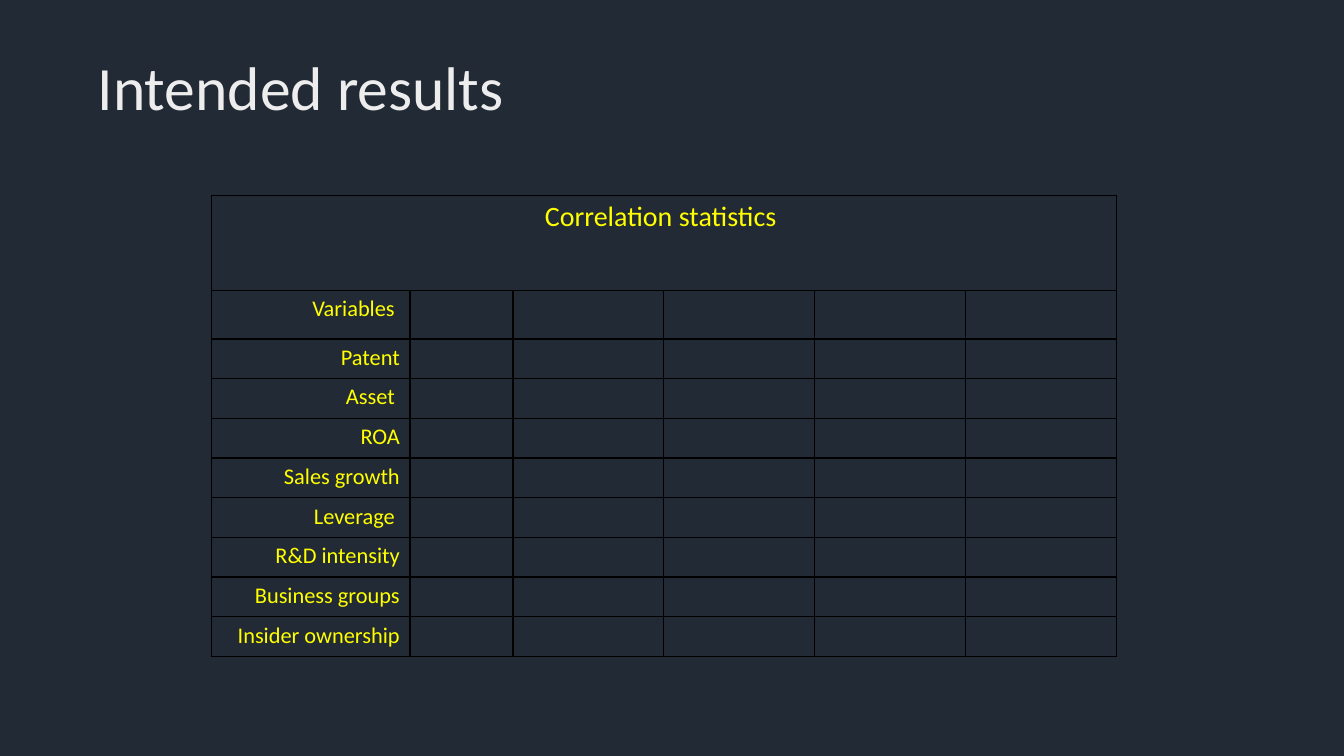
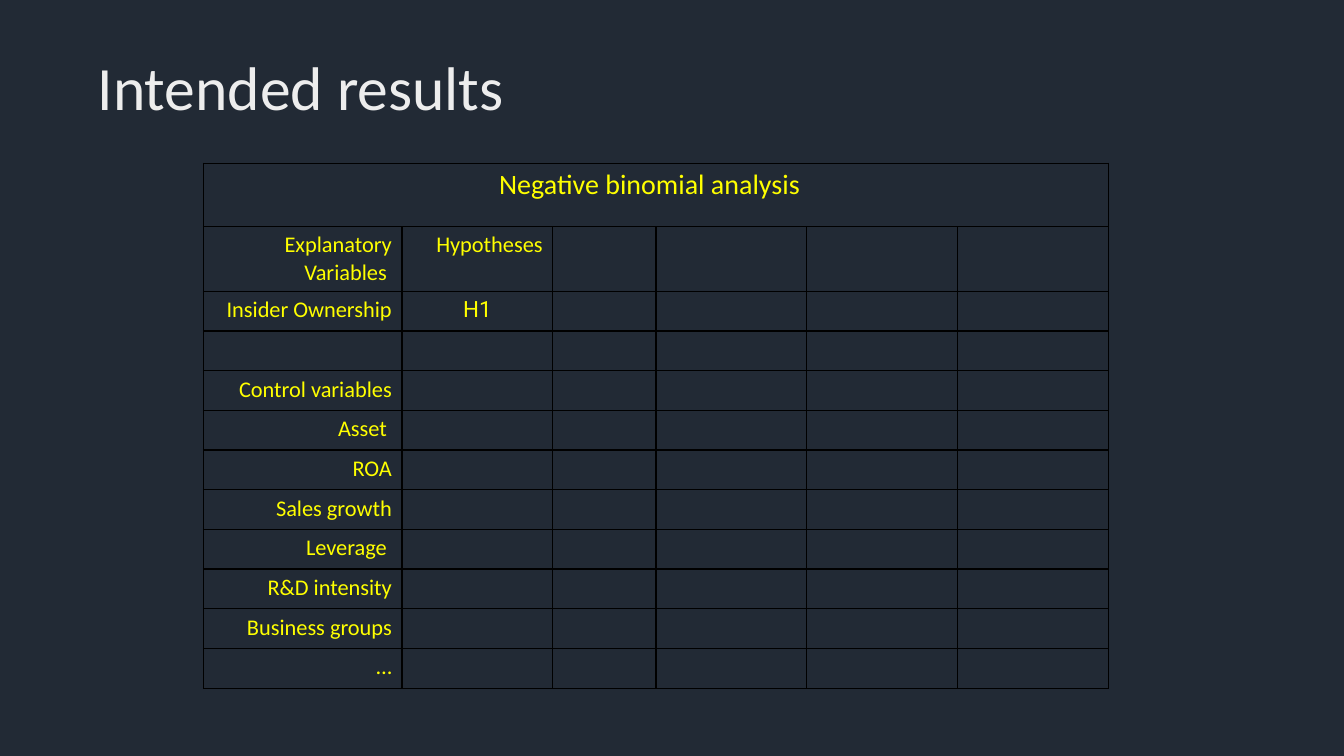
from dataclasses import dataclass

from lxml import etree
from pptx import Presentation
from pptx.dml.color import RGBColor
from pptx.enum.text import MSO_ANCHOR, PP_ALIGN
from pptx.oxml import parse_xml
from pptx.oxml.ns import qn
from pptx.util import Cm, Pt

CENTER, RIGHT = PP_ALIGN.CENTER, PP_ALIGN.RIGHT
MIDDLE = MSO_ANCHOR.MIDDLE
NS = "http://schemas.openxmlformats.org/drawingml/2006/main"


# Colours, fonts and type sizes
@dataclass(frozen=True)
class Theme:
    back: str = "222A35"
    title: str = "EDEDED"
    text: str = "FFFF00"
    line: str = "000000"
    font: str = "Calibri"
    alt: str = "Roboto"
    big: int = 44
    head: int = 20
    body: int = 16


THEME = Theme()

# Table content and sizes in centimetres
WIDE, MID, SLIM = 5, 3.8, 2.6
ROW = 1
FIRM = ["Asset ", "ROA", "Sales growth", "Leverage ", "R&D intensity",
        "Business groups"]


def style(para, size, color, font=THEME.font):
    for run in para.runs:
        run.font.size = Pt(size)
        run.font.name = font
        run.font.color.rgb = RGBColor.from_string(color)


# Slide with background and title
def add_slide(prs, title):
    slide = prs.slides.add_slide(prs.slide_layouts[6])
    fill = slide.background.fill
    fill.solid()
    fill.fore_color.rgb = RGBColor.from_string(THEME.back)

    box = slide.shapes.add_textbox(Cm(2.33), Cm(0.43), Cm(29.21), Cm(3.68))
    frame = box.text_frame
    frame.word_wrap = True
    frame.vertical_anchor = MIDDLE
    frame.margin_left = frame.margin_right = Cm(0.13)
    frame.text = title
    para = frame.paragraphs[0]
    para.line_spacing = 0.9
    style(para, THEME.big, THEME.title)
    return slide


# Cell borders, text and fill
def frame_cell(cell):
    props = cell._tc.get_or_add_tcPr()
    for side in ("lnL", "lnR", "lnT", "lnB"):
        props.append(parse_xml(
            f'<a:{side} xmlns:a="{NS}" w="{Pt(1)}"><a:solidFill>'
            f'<a:srgbClr val="{THEME.line}"/></a:solidFill></a:{side}>'))
    cell.fill.background()


def fill_cell(cell, text, size=THEME.body, align=RIGHT, font=THEME.font):
    cell.text_frame.text = text
    para = cell.text_frame.paragraphs[0]
    para.alignment = align
    style(para, size, THEME.text, font)


def add_grid(slide, left, top, cols, rows, title, labels):
    shape = slide.shapes.add_table(len(rows), len(cols), Cm(left), Cm(top),
                                   Cm(sum(cols)), Cm(sum(rows)))
    table = shape.table
    table.first_row = table.horz_banding = False
    for col, width in zip(table.columns, cols):
        col.width = Cm(width)
    for row, height in zip(table.rows, rows):
        row.height = Cm(height)

    for cell in table.iter_cells():
        frame_cell(cell)
    table.cell(0, 0).merge(table.cell(0, len(cols) - 1))
    fill_cell(table.cell(0, 0), title, THEME.head, CENTER)
    for r, label in enumerate(labels, 1):
        fill_cell(table.cell(r, 0), label)
    return table


# Keep empty cells at body height
def size_blanks(table):
    for cell in table.iter_cells():
        if not cell.text_frame.text:
            para = cell.text_frame.paragraphs[0]
            end = etree.SubElement(para._p, qn("a:endParaRPr"))
            end.set("sz", str(THEME.body * 100))


def main():
    prs = Presentation()
    prs.slide_width, prs.slide_height = Cm(33.87), Cm(19.05)

    # Correlation table
    slide = add_slide(prs, "Intended results")
    labels = ["Variables ", "Patent", *FIRM, "Insider ownership"]
    table = add_grid(slide, 5.33, 4.92, [WIDE, SLIM] + [MID] * 4,
                     [2.4, 1.22] + [ROW] * 8,
                     "Correlation statistics ", labels)
    size_blanks(table)

    # Regression table
    slide = add_slide(prs, "Intended results")
    labels = ["Explanatory Variables ", "Insider Ownership", "",
              "Control variables", *FIRM, "…"]
    table = add_grid(slide, 5.13, 4.11, [WIDE, MID, SLIM] + [MID] * 3,
                     [1.6, 1.63] + [ROW] * 10,
                     "Negative binomial analysis  ", labels)
    fill_cell(table.cell(1, 1), "Hypotheses")
    fill_cell(table.cell(2, 1), "H1", align=CENTER, font=THEME.alt)
    size_blanks(table)

    prs.save("out.pptx")


main()
